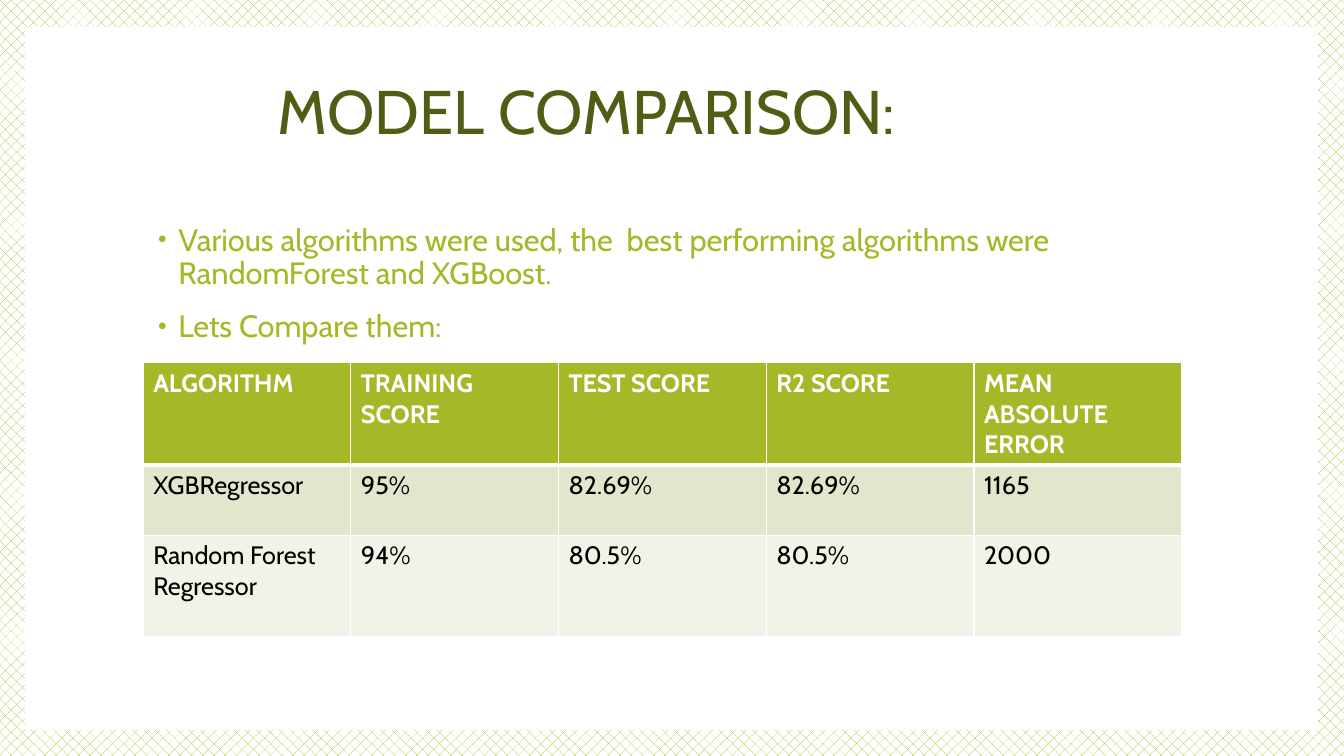
from lxml import etree
from pptx import Presentation, util as u
from pptx.dml.color import RGBColor
from pptx.enum import dml, shapes, text
from pptx.oxml import ns

LIME = RGBColor(0xA6, 0xB7, 0x27)
OLIVE = RGBColor(0x53, 0x5C, 0x14)
WHITE = RGBColor(0xFF, 0xFF, 0xFF)
BLACK = RGBColor(0, 0, 0)
SAGE = RGBColor(0xE1, 0xE6, 0xCD)
PALE_SAGE = RGBColor(0xF1, 0xF3, 0xE8)

TITLE_FONT = {"name": "Cabin", "size": u.Pt(44)}
POINT_FONT = {"name": "Cabin", "size": u.Pt(22)}
HEADER_FONT = {"name": "Cabin", "size": u.Pt(18), "bold": True}
SCORE_FONT = {**HEADER_FONT, "bold": False}

POINTS = [
    "Various algorithms were used, the  best performing algorithms were RandomForest and XGBoost.",
    "Lets Compare them:",
]
SCORES = [
    ["ALGORITHM", "TRAINING SCORE", "TEST SCORE", "R2 SCORE", "MEAN ABSOLUTE ERROR"],
    ["XGBRegressor", "95%", "82.69%", "82.69%", "1165"],
    ["Random Forest\nRegressor", "94%", "80.5%", "80.5%", "2000"],
]
ROW_STYLES = [
    {"height": 1.01, "fill": LIME, "color": WHITE, "font": HEADER_FONT, "top": 1, "bottom": 3},
    {"height": 0.7, "fill": SAGE, "color": BLACK, "font": SCORE_FONT, "top": 3, "bottom": 1},
    {"height": 1.01, "fill": PALE_SAGE, "color": BLACK, "font": SCORE_FONT, "top": 1, "bottom": 1},
]
COLUMN_WIDTH = 2.06


def apply_format(target, values):
    """Set each named value on the target."""
    for name, value in values.items():
        setattr(target, name, value)


def add_child(parent, tag, **attributes):
    """Append a drawing element and return it."""
    child = etree.SubElement(parent, ns.qn(tag))
    for name, value in attributes.items():
        child.set(name, str(value))
    return child


def write_paragraph(paragraph, wording, font, color, layout):
    """Fill a paragraph with one formatted run."""
    run = paragraph.add_run()
    run.text = wording
    apply_format(run.font, font)
    run.font.color.rgb = color
    apply_format(paragraph, layout)


def add_background(slide):
    """Draw the hatched frame around the white panel."""
    hatch = slide.background.fill
    hatch.patterned()
    hatch.pattern = dml.MSO_PATTERN.PERCENT_25
    hatch.fore_color.rgb = LIME
    hatch.back_color.rgb = WHITE
    panel = slide.shapes.add_shape(
        shapes.MSO_SHAPE.RECTANGLE, u.Inches(0.25), u.Inches(0.27), u.Inches(12.82), u.Inches(6.97))
    panel.shadow.inherit = False
    panel.fill.solid()
    panel.fill.fore_color.rgb = WHITE
    panel.line.fill.background()


def add_text_area(slide, bounds, anchor):
    """Add a wrapping text box and return its frame."""
    frame = slide.shapes.add_textbox(*map(u.Inches, bounds)).text_frame
    apply_format(frame, {"word_wrap": True, "vertical_anchor": anchor})
    return frame


def add_title(slide, wording):
    """Add the centred slide title."""
    frame = add_text_area(slide, (0.42, 0.4, 10.8, 1.48), text.MSO_ANCHOR.MIDDLE)
    write_paragraph(frame.paragraphs[0], wording, TITLE_FONT, OLIVE,
                    {"alignment": text.PP_ALIGN.CENTER, "line_spacing": 0.9})


def add_bullet(paragraph):
    """Give a paragraph a lime bullet with a hanging indent."""
    properties = paragraph._p.get_or_add_pPr()
    properties.set("marL", str(u.Inches(0.25)))
    properties.set("indent", str(u.Inches(-0.2)))
    add_child(add_child(properties, "a:buClr"), "a:srgbClr", val=LIME)
    add_child(properties, "a:buSzPct", val=80000)
    add_child(properties, "a:buFont", typeface="Arial")
    add_child(properties, "a:buChar", char="•")


def add_points(slide, points):
    """Add the bulleted introduction."""
    frame = add_text_area(slide, (1.42, 2.18, 10.8, 4.42), text.MSO_ANCHOR.TOP)
    for index, point in enumerate(points):
        paragraph = frame.add_paragraph() if index else frame.paragraphs[0]
        write_paragraph(paragraph, point, POINT_FONT, LIME,
                        {"line_spacing": 0.9, "space_before": u.Pt(14)})
        add_bullet(paragraph)


def add_borders(cell, widths):
    """Draw white cell borders from side tags and point widths."""
    properties = cell._tc.get_or_add_tcPr()
    for side, width in widths.items():
        border = add_child(properties, side, w=u.Pt(width))
        add_child(add_child(border, "a:solidFill"), "a:srgbClr", val=WHITE)


def write_cell(cell, wording, style):
    """Fill one table cell with text, borders and colour."""
    for index, line in enumerate(wording.split("\n")):
        paragraph = cell.text_frame.add_paragraph() if index else cell.text_frame.paragraphs[0]
        write_paragraph(paragraph, line, style["font"], style["color"], {})
    add_borders(cell, {"a:lnL": 1, "a:lnR": 1, "a:lnT": style["top"], "a:lnB": style["bottom"]})
    cell.fill.solid()
    cell.fill.fore_color.rgb = style["fill"]


def add_score_table(slide, scores):
    """Add the table that compares the algorithms."""
    width = COLUMN_WIDTH * len(scores[0])
    height = sum(style["height"] for style in ROW_STYLES)
    table = slide.shapes.add_table(
        len(scores), len(scores[0]),
        u.Inches(1.42), u.Inches(3.6), u.Inches(width), u.Inches(height)).table
    for column in table.columns:
        column.width = u.Inches(COLUMN_WIDTH)
    for row, values, style in zip(table.rows, scores, ROW_STYLES):
        row.height = u.Inches(style["height"])
        for cell, value in zip(row.cells, values):
            write_cell(cell, value, style)


def main():
    """Build and save the model comparison slide."""
    deck = Presentation()
    apply_format(deck, {"slide_width": u.Inches(13.33), "slide_height": u.Inches(7.5)})
    slide = deck.slides.add_slide(deck.slide_layouts[6])
    add_background(slide)
    add_title(slide, "MODEL COMPARISON:")
    add_points(slide, POINTS)
    add_score_table(slide, SCORES)
    deck.save("out.pptx")


if __name__ == "__main__":
    main()
